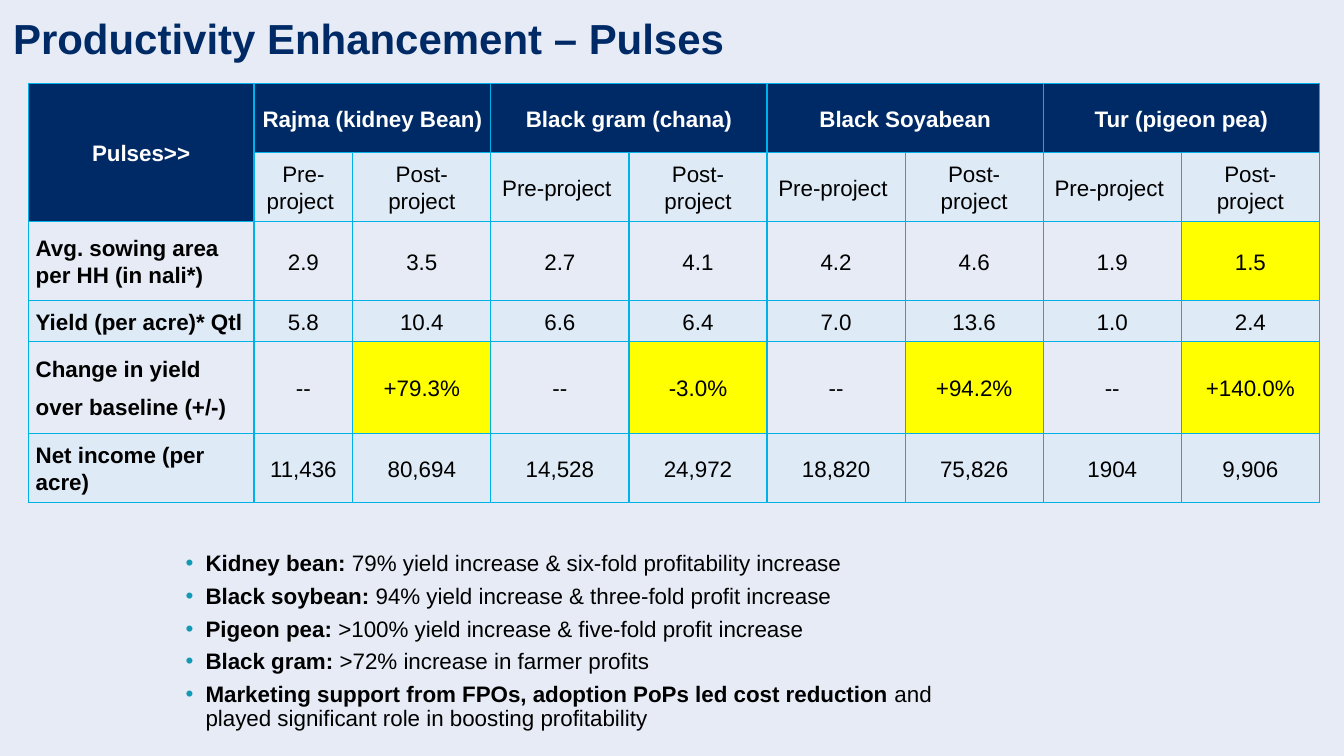
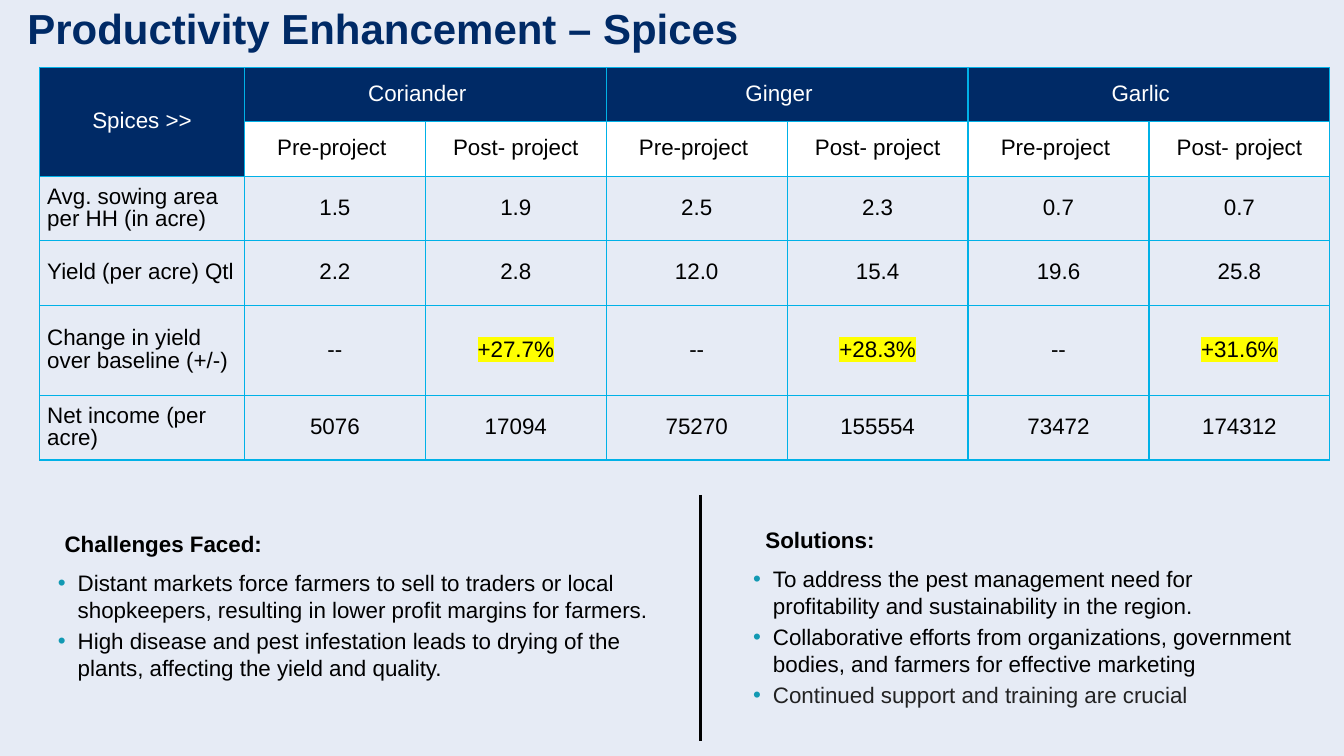
from dataclasses import dataclass

from pptx import Presentation
from pptx.dml.color import RGBColor
from pptx.enum import shapes, text
from pptx.oxml import parse_xml
from pptx.oxml import ns
from pptx.util import Cm, Pt

NAVY = RGBColor(0x00, 0x2A, 0x66)
MIST = RGBColor(0xE6, 0xEB, 0xF5)
PALE = RGBColor(0xDE, 0xEA, 0xF6)
CYAN = RGBColor(0x00, 0xB1, 0xE7)
TEAL = RGBColor(0x12, 0x99, 0xB3)
YELLOW = RGBColor(0xFF, 0xFF, 0x00)
WHITE = RGBColor(0xFF, 0xFF, 0xFF)
BLACK = RGBColor(0x00, 0x00, 0x00)
CHARCOAL = RGBColor(0x22, 0x22, 0x22)
FONT = "Arial"
BODY_SIZE = 16
CELL_PAD = 0.19
SUBHEADS = ["Pre-project ", "Post- project"]


@dataclass
class GridStyle:
    """Look of one crop table."""
    bold: bool
    line_spacing: float
    space_after: float
    subhead_fill: RGBColor
    band_fill: RGBColor | None
    fill_marks: bool
    head_pad: float


PULSE_STYLE = GridStyle(True, 1.1, 8, PALE, PALE, True, CELL_PAD)
SPICE_STYLE = GridStyle(False, 0.9, 0, WHITE, None, False, 0.6)

PULSE_CROPS = ["Rajma (kidney Bean)", "Black gram (chana)", "Black Soyabean", "Tur (pigeon pea)"]
PULSE_ROWS = [
    ["Avg. sowing area per HH (in nali*)", "2.9", "3.5", "2.7", "4.1", "4.2", "4.6", "1.9", "1.5"],
    ["Yield (per acre)* Qtl", "5.8", "10.4", "6.6", "6.4", "7.0", "13.6", "1.0", "2.4"],
    ["Change in yield\nover baseline (+/-)", "--", "+79.3%", "--", "-3.0%", "--", "+94.2%", "--", "+140.0%"],
    ["Net income (per acre)", "11,436", "80,694", "14,528", "24,972", "18,820", "75,826", "1904", "9,906"],
]
SPICE_CROPS = ["Coriander", "Ginger", "Garlic"]
SPICE_ROWS = [
    ["Avg. sowing area per HH (in acre)", "1.5", "1.9", "2.5", "2.3", "0.7", "0.7"],
    ["Yield (per acre) Qtl", "2.2", "2.8", "12.0", "15.4", "19.6", "25.8"],
    ["Change in yield\nover baseline (+/-)", "--", "+27.7%", "--", "+28.3%", "--", "+31.6%"],
    ["Net income (per acre)", "5076", "17094", "75270", "155554", "73472", "174312"],
]
PULSE_POINTS = [
    [("Kidney bean:", True), (" 79% yield increase & six-fold profitability increase", False)],
    [("Black soybean: ", True), ("94% yield increase & three-fold profit increase", False)],
    [("Pigeon pea:", True), (" >100% yield increase & five-fold profit increase", False)],
    [("Black gram:", True), (" >72% increase in farmer profits", False)],
    [("Marketing support from FPOs, adoption PoPs led cost reduction ", True),
     ("and played significant role in boosting profitability", False)],
]
CHALLENGES = [
    [("Distant markets force farmers to sell to traders or local shopkeepers, "
      "resulting in lower profit margins for farmers.", False)],
    [("High disease and pest infestation leads to drying of the plants, "
      "affecting the yield and quality.", False)],
]
SOLUTIONS = [
    [("To address the pest management need for profitability and sustainability in the region.", False)],
    [("Collaborative efforts from organizations, government bodies, "
      "and farmers for effective marketing", False)],
    [("Continued support and training are crucial", False, CHARCOAL)],
]


def xml(tag, attributes="", inner=""):
    """Build one DrawingML element."""
    return parse_xml(f"<a:{tag} {ns.nsdecls('a')} {attributes}>{inner}</a:{tag}>")


def add_span(para, words, bold=False, color=BLACK, size=BODY_SIZE):
    """Add a formatted run to a paragraph."""
    span = para.add_run()
    span.text = words
    span.font.name = FONT
    span.font.size = Pt(size)
    span.font.bold = bold
    span.font.color.rgb = color
    return span


def add_para(frame, index):
    """Return the first paragraph of a frame, or a new one."""
    return frame.add_paragraph() if index else frame.paragraphs[0]


def add_titled_page(deck, title, left, top):
    """Add a title-only page with its heading at the given corner."""
    page = deck.slides.add_slide(deck.slide_layouts[5])
    box = page.shapes.title
    box.left, box.top, box.width, box.height = Cm(left), Cm(top), Cm(27.6), Cm(1.85)
    frame = box.text_frame
    frame.word_wrap = True
    frame.auto_size = text.MSO_AUTO_SIZE.NONE
    frame.vertical_anchor = text.MSO_ANCHOR.MIDDLE
    frame.margin_left = frame.margin_right = frame.margin_top = frame.margin_bottom = Cm(0.33)
    para = frame.paragraphs[0]
    para.alignment = text.PP_ALIGN.LEFT
    para.line_spacing = 0.9
    add_span(para, title, True, NAVY, 30)
    return page


def format_cell(cell, words, style, fill, color, bold, centred, highlight, pad):
    """Write and style one table cell."""
    properties = cell._tc.get_or_add_tcPr()
    for side in "LRTB":
        line = f'<a:solidFill><a:srgbClr val="{CYAN}"/></a:solidFill>'
        properties.append(xml(f"ln{side}", f'w="{Pt(1)}"', line))
    if fill is None:
        cell.fill.background()
    else:
        cell.fill.solid()
        cell.fill.fore_color.rgb = fill
    cell.vertical_anchor = text.MSO_ANCHOR.MIDDLE
    cell.margin_left, cell.margin_right = Cm(CELL_PAD), Cm(pad)
    cell.margin_top = cell.margin_bottom = 0
    for index, part in enumerate(words.split("\n") if words else []):
        para = add_para(cell.text_frame, index)
        para.alignment = text.PP_ALIGN.CENTER if centred else text.PP_ALIGN.LEFT
        para.line_spacing = style.line_spacing
        para.space_after = Pt(style.space_after)
        span = add_span(para, part, bold, color)
        if highlight:
            mark = xml("highlight", inner=f'<a:srgbClr val="{YELLOW}"/>')
            span._r.rPr.find(ns.qn("a:solidFill")).addnext(mark)


def add_crop_table(page, left, top, widths, heights, corner, crops, rows, marks, style):
    """Add a table with a pair of columns for each crop."""
    heads = [corner] + [words for crop in crops for words in (crop, "")]
    grid = [heads, [""] + SUBHEADS * len(crops)] + rows
    table = page.shapes.add_table(len(grid), len(heads), Cm(left), Cm(top),
                                  Cm(sum(widths)), Cm(sum(heights))).table
    table.first_row = table.horz_banding = False
    for column, width in zip(table.columns, widths):
        column.width = Cm(width)
    for row, height in zip(table.rows, heights):
        row.height = Cm(height)
    table.cell(0, 0).merge(table.cell(1, 0))
    for c in range(1, len(heads), 2):
        table.cell(0, c).merge(table.cell(0, c + 1))
    for r, row in enumerate(grid):
        for c, words in enumerate(row):
            is_head = r == 0 or (r == 1 and c == 0)
            marked = (r, c) in marks
            if is_head:
                fill = NAVY
            elif marked and style.fill_marks:
                fill = YELLOW
            elif r == 1:
                fill = style.subhead_fill
            else:
                fill = style.band_fill if r % 2 else None
            format_cell(table.cell(r, c), words, style, fill,
                        WHITE if is_head else BLACK,
                        style.bold and (is_head or c == 0),
                        r < 2 or c > 0,
                        marked and not style.fill_marks,
                        style.head_pad if r == 0 and c else CELL_PAD)


def add_points(page, left, top, width, height, points, spacing, before, heading=None, indent=0):
    """Add a bulleted list with an optional bold heading."""
    box = page.shapes.add_textbox(Cm(left), Cm(top), Cm(width), Cm(height))
    frame = box.text_frame
    frame.word_wrap = True
    frame.auto_size = text.MSO_AUTO_SIZE.SHAPE_TO_FIT_TEXT
    if heading:
        para = frame.paragraphs[0]
        para._p.get_or_add_pPr().set("marL", str(Cm(indent)))
        para.space_after = Pt(6)
        add_span(para, heading, True)
    for index, spans in enumerate(points, 1 if heading else 0):
        para = add_para(frame, index)
        properties = para._p.get_or_add_pPr()
        properties.set("marL", str(Cm(0.79)))
        properties.set("indent", str(-Cm(0.5)))
        properties.append(xml("buClr", inner=f'<a:srgbClr val="{TEAL}"/>'))
        properties.append(xml("buFont", f'typeface="{FONT}"'))
        properties.append(xml("buChar", 'char="•"'))
        para.line_spacing = spacing
        if index:
            para.space_before = Pt(before)
        for span in spans:
            add_span(para, *span)


def add_divider(page, x, top, bottom):
    """Add the vertical rule between two lists."""
    line = page.shapes.add_connector(shapes.MSO_CONNECTOR.STRAIGHT, Cm(x), Cm(top), Cm(x), Cm(bottom))
    line.line.color.rgb = BLACK
    line.line.width = Pt(2.5)
    line._element.spPr.append(xml("effectLst"))


def build_pulses(deck):
    """Build the page on pulses."""
    page = add_titled_page(deck, "Productivity Enhancement – Pulses", 0, 0.1)
    marks = {(2, 8)} | {(4, c) for c in range(2, 9, 2)}
    add_crop_table(page, 0.71, 2.11, [5.69, 2.49] + [3.48] * 7, [1.74, 1.74, 1.99, 1.03, 2.32, 1.74],
                   "Pulses>>", PULSE_CROPS, PULSE_ROWS, marks, PULSE_STYLE)
    add_points(page, 4.14, 13.8, 20.75, 4.8, PULSE_POINTS, 0.9, 6)


def build_spices(deck):
    """Build the page on spices."""
    page = add_titled_page(deck, "Productivity Enhancement – Spices", 0.36, -0.15)
    marks = {(4, c) for c in range(2, 7, 2)}
    add_crop_table(page, 1, 1.7, [5.16] + [4.56] * 6, [1.37, 1.37, 1.63, 1.63, 2.26, 1.63],
                   "Spices >>", SPICE_CROPS, SPICE_ROWS, marks, SPICE_STYLE)
    add_points(page, 0.92, 13.23, 15.98, 4.11, CHALLENGES, 1.0, 3, "Challenges Faced:", 0.46)
    add_points(page, 18.44, 13.13, 14.66, 4.9, SOLUTIONS, 1.0, 3, "Solutions:", 0.6)
    add_divider(page, 17.65, 12.47, 18.67)


def main():
    """Build and save the deck."""
    deck = Presentation()
    deck.slide_width, deck.slide_height = Cm(33.87), Cm(19.05)
    backdrop = deck.slide_master.background.fill
    backdrop.solid()
    backdrop.fore_color.rgb = MIST
    build_pulses(deck)
    build_spices(deck)
    deck.save("out.pptx")


if __name__ == "__main__":
    main()
